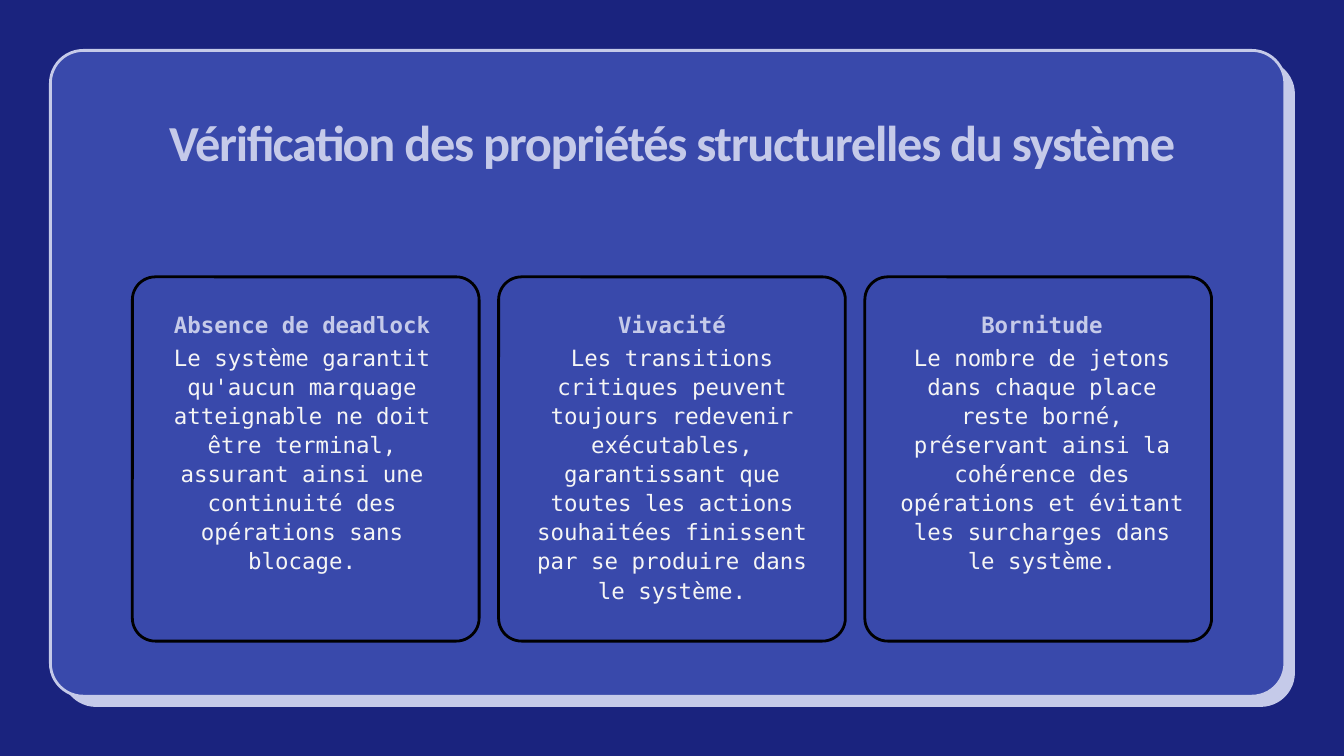
import pptx
import pptx.dml.color
import pptx.enum.shapes
import pptx.enum.text
import pptx.util
from dataclasses import dataclass

Inches = pptx.util.Inches
Pt = pptx.util.Pt
RGB = pptx.dml.color.RGBColor.from_string


@dataclass(frozen=True)
class Theme:
    night: str = "1A237E"
    indigo: str = "3949AB"
    lavender: str = "C5CAE9"
    white: str = "F5F5F5"
    black: str = "000000"
    title_font: str = "Calibri"
    text_font: str = "DejaVu Sans Mono"
    title_size: float = 54
    text_size: float = 24
    line_height: float = 1.3
    outline: float = 3


THEME = Theme()

PROPERTIES = [
    ("Absence de deadlock",
     "Le système garantit qu'aucun marquage atteignable ne doit être terminal, "
     "assurant ainsi une continuité des opérations sans blocage."),
    ("Vivacité",
     "Les transitions critiques peuvent toujours redevenir exécutables, "
     "garantissant que toutes les actions souhaitées finissent par se produire "
     "dans le système."),
    ("Bornitude",
     "Le nombre de jetons dans chaque place reste borné, préservant ainsi la "
     "cohérence des opérations et évitant les surcharges dans le système."),
]
CARD_LEFT, CARD_PITCH = 1.97, 5.45
TEXT_LEFT, TEXT_RIGHT, TEXT_WIDTH = 2.3, 17.7, 4.39
TEXT_PITCH = (TEXT_RIGHT - TEXT_WIDTH - TEXT_LEFT) / (len(PROPERTIES) - 1)


def add_rounded_box(slide, left, top, width, height, radius, fill=None, line=None):
    box = slide.shapes.add_shape(
        pptx.enum.shapes.MSO_SHAPE.ROUNDED_RECTANGLE,
        Inches(left), Inches(top), Inches(width), Inches(height))
    box.shadow.inherit = False
    box.adjustments[0] = radius / min(width, height)
    if fill:
        box.fill.solid()
        box.fill.fore_color.rgb = RGB(fill)
    else:
        box.fill.background()
    if line:
        box.line.color.rgb = RGB(line)
        box.line.width = Pt(THEME.outline)
    else:
        box.line.fill.background()


def write_text(shape, text, font_name, size, color, bold=False):
    frame = shape.text_frame
    frame_format = {
        "word_wrap": True,
        "auto_size": pptx.enum.text.MSO_AUTO_SIZE.SHAPE_TO_FIT_TEXT,
        "vertical_anchor": pptx.enum.text.MSO_ANCHOR.TOP,
        "margin_left": 0, "margin_top": 0,
        "margin_right": 0, "margin_bottom": 0,
    }
    for name, value in frame_format.items():
        setattr(frame, name, value)
    paragraph = frame.paragraphs[0]
    paragraph.alignment = pptx.enum.text.PP_ALIGN.CENTER
    run = paragraph.add_run()
    run.text = text
    for name, value in {"name": font_name, "size": Pt(size), "bold": bold}.items():
        setattr(run.font, name, value)
    run.font.color.rgb = RGB(color)
    return paragraph


def add_title(slide, text):
    title = slide.shapes.title
    # Bring the title in front of the panel
    slide.shapes._spTree.append(title._element)
    place = {"left": TEXT_LEFT, "top": 1.65,
             "width": TEXT_RIGHT - TEXT_LEFT, "height": 1.85}
    for name, value in place.items():
        setattr(title, name, Inches(value))
    paragraph = write_text(title, text, THEME.title_font, THEME.title_size,
                           THEME.lavender, bold=True)
    paragraph.line_spacing = Pt(THEME.title_size * 1.2)
    paragraph.runs[0].font._element.set("spc", "-140")


def add_label(slide, left, top, height, text, color, bold=False):
    label = slide.shapes.add_textbox(
        Inches(left), Inches(top), Inches(TEXT_WIDTH), Inches(height))
    paragraph = write_text(label, text, THEME.text_font, THEME.text_size, color, bold)
    paragraph.line_spacing = Pt(THEME.text_size * THEME.line_height)


def add_property(slide, column, heading, description):
    add_rounded_box(slide, CARD_LEFT + column * CARD_PITCH, 4.12, 5.16, 5.42,
                    radius=0.34, line=THEME.black)
    text_left = TEXT_LEFT + column * TEXT_PITCH
    add_label(slide, text_left, 4.59, 0.46, heading, THEME.lavender, bold=True)
    add_label(slide, text_left, 5.08, 2.58, description, THEME.white)


def main():
    deck = pptx.Presentation()
    deck.slide_width, deck.slide_height = Inches(20), Inches(11.25)
    slide = deck.slides.add_slide(deck.slide_layouts[5])
    slide.background.fill.solid()
    slide.background.fill.fore_color.rgb = RGB(THEME.night)

    # Panel over its offset backing
    add_rounded_box(slide, 0.92, 0.89, 18.35, 9.63, radius=0.51, fill=THEME.lavender)
    add_rounded_box(slide, 0.75, 0.75, 18.37, 9.61, radius=0.49,
                    fill=THEME.indigo, line=THEME.lavender)

    add_title(slide, "Vérification des propriétés structurelles du système")

    # One card per verified property
    for column, (heading, description) in enumerate(PROPERTIES):
        add_property(slide, column, heading, description)

    deck.save("out.pptx")


if __name__ == "__main__":
    main()
